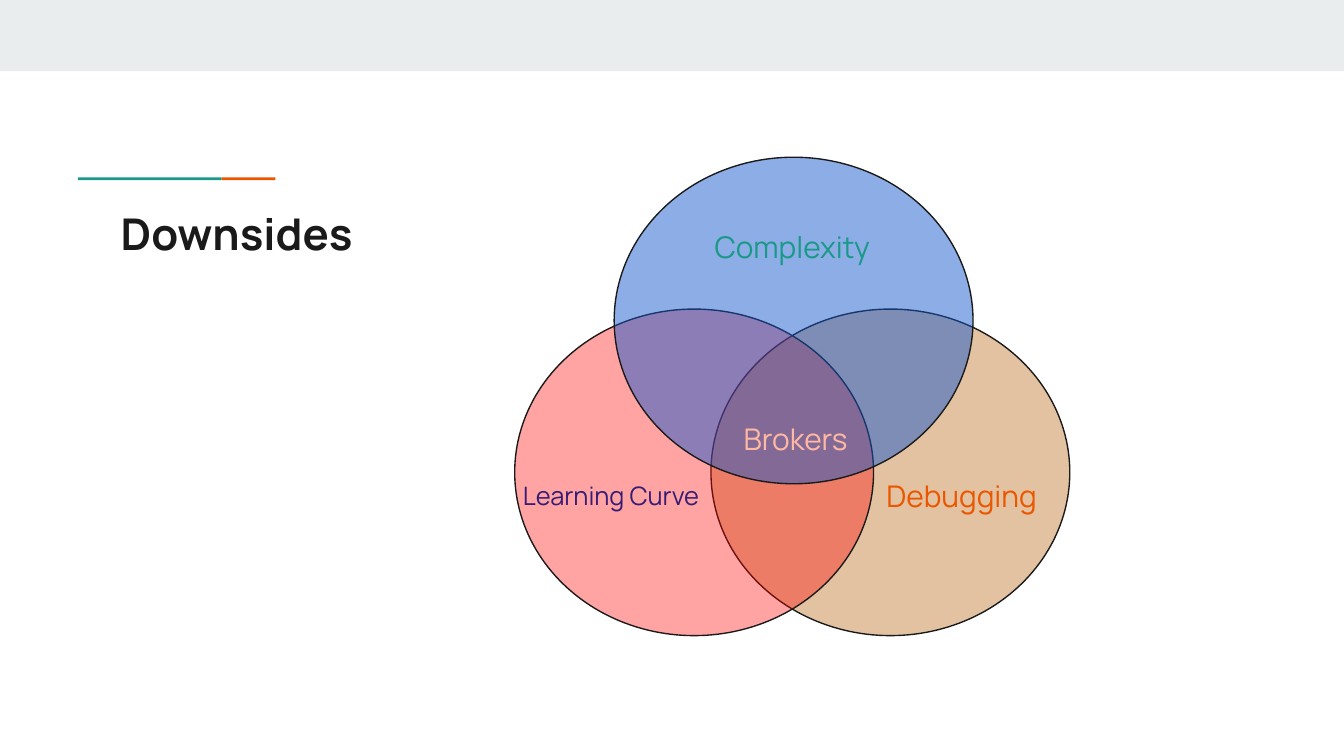
from pptx import Presentation
from pptx.dml.color import RGBColor
from pptx.enum.shapes import MSO_SHAPE as SHAPE
from pptx.enum.text import MSO_ANCHOR as ANCHOR, PP_ALIGN as ALIGN
from pptx.oxml import parse_xml
from pptx.oxml.ns import nsdecls
from pptx.util import Inches, Pt

FONT = "Manrope"
INK = "1A1A1A"
TEAL = "1A9988"
ORANGE = "EB5600"


def rgb(value):
    return RGBColor.from_string(value)


def add_filled(slide, kind, box, fill, alpha=None, line=None):
    s = slide.shapes.add_shape(kind, *map(Inches, box))
    s.shadow.inherit = False
    s.fill.solid()
    s.fill.fore_color.rgb = rgb(fill)
    if alpha is not None:
        color = s.fill._xPr.solidFill.srgbClr
        color.append(parse_xml(f'<a:alpha {nsdecls("a")} val="{alpha * 1000}"/>'))
    if line:
        s.line.color.rgb = rgb(line)
        s.line.width = Pt(0.75)
    else:
        s.line.fill.background()


def add_text(slide, box, text, size, color, bold=False, anchor=ANCHOR.TOP, **paragraph):
    tf = slide.shapes.add_textbox(*map(Inches, box)).text_frame
    frame = {"word_wrap": True, "vertical_anchor": anchor}
    frame.update({f"margin_{side}": Inches(0.1) for side in ("left", "right", "top", "bottom")})
    for name, value in frame.items():
        setattr(tf, name, value)
    p = tf.paragraphs[0]
    for name, value in paragraph.items():
        setattr(p, name, value)
    r = p.add_run()
    r.text = text
    for name, value in {"name": FONT, "size": Pt(size), "bold": bold}.items():
        setattr(r.font, name, value)
    r.font.color.rgb = rgb(color)


def add_header(slide, x, y, w, h):
    add_filled(slide, SHAPE.RECTANGLE, (x, y, w, h), "E9EDEE")


def add_title(slide, x, y, w, h):
    teal_w, orange_w, bar_h = 1.07, 0.4, 0.02
    add_filled(slide, SHAPE.RECTANGLE, (x, y, teal_w, bar_h), TEAL)
    add_filled(slide, SHAPE.RECTANGLE, (x + teal_w, y, orange_w, bar_h), ORANGE)
    add_text(slide, (x + 0.22, y + 0.12, w - 0.22, h - 0.12), "Downsides", 23.4, INK, bold=True)


def add_venn(slide, x, y, w, h):
    circle_w, circle_h = 2.67, 2.43
    right, bottom = w - circle_w, h - circle_h
    circles = [
        (right, bottom, "B45F06", 38),
        (0, bottom, "FF0000", 36),
        (0.74, 0, "1155CC", 48),
    ]
    for dx, dy, fill, alpha in circles:
        add_filled(slide, SHAPE.OVAL, (x + dx, y + dy, circle_w, circle_h), fill, alpha, INK)

    labels = [
        (1.27, 0.32, 1.59, 0.65, "Complexity", 16, TEAL),
        (2.53, 2.17, 1.59, 0.65, "Debugging", 16, ORANGE),
        (-0.08, 2.17, 1.59, 0.65, "Learning Curve", 13.6, "351C75"),
        (1.49, 1.83, 1.2, 0.49, "Brokers", 16, "FFB8A2"),
    ]
    for dx, dy, label_w, label_h, text, size, color in labels:
        add_text(slide, (x + dx, y + dy, label_w, label_h), text, size, color,
                 anchor=ANCHOR.MIDDLE, alignment=ALIGN.CENTER,
                 line_spacing=1.15, space_after=Pt(12))


def main():
    prs = Presentation()
    prs.slide_width = Inches(10)
    prs.slide_height = prs.slide_width * 9 // 16
    slide = prs.slides.add_slide(prs.slide_layouts[6])
    add_header(slide, 0, 0, 10, 0.53)
    add_title(slide, 0.58, 1.32, 8.63, 0.71)
    add_venn(slide, 3.83, 1.17, 4.13, 3.56)
    prs.save("out.pptx")


if __name__ == "__main__":
    main()
